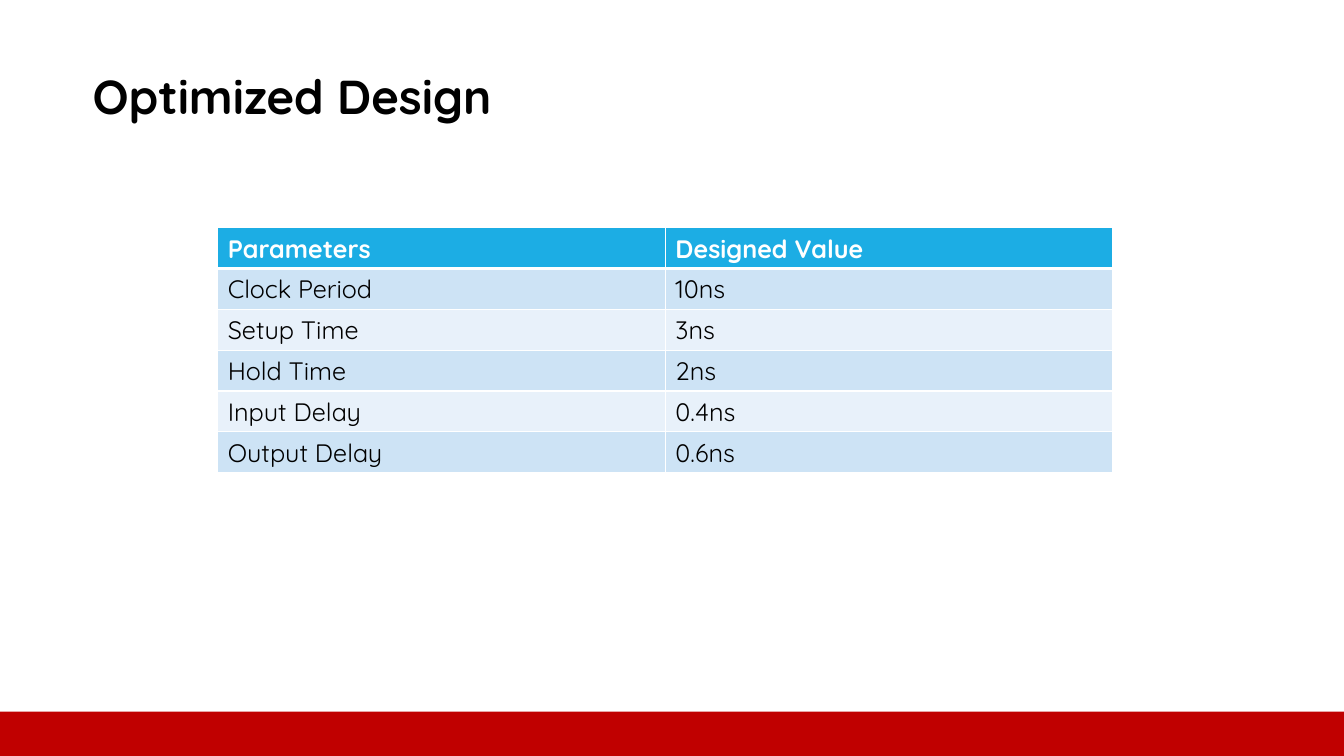
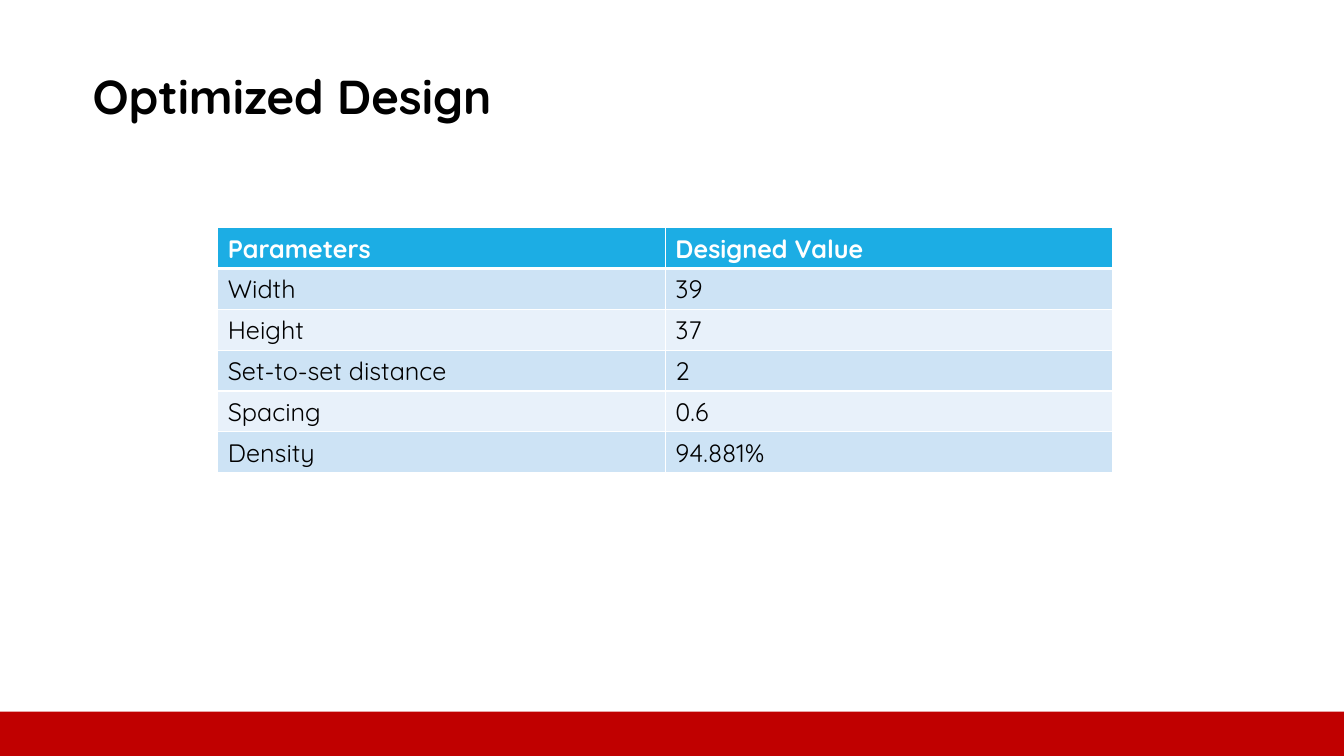
from dataclasses import dataclass

from lxml import etree
from pptx import Presentation
from pptx.dml.color import RGBColor
from pptx.enum.shapes import MSO_SHAPE
from pptx.enum.text import MSO_ANCHOR, MSO_AUTO_SIZE
from pptx.oxml.ns import qn
from pptx.util import Inches, Pt

RECT = MSO_SHAPE.RECTANGLE
TOP = MSO_ANCHOR.TOP
GROW = MSO_AUTO_SIZE.SHAPE_TO_FIT_TEXT
WIDE, HIGH = 13.33, 7.5


# Shared look
@dataclass(frozen=True)
class Theme:
    font: str = "Quicksand"
    ink: str = "000000"
    white: str = "FFFFFF"
    band: str = "C00000"
    head: str = "1CADE4"
    rows: tuple[str, str] = ("CDE3F5", "E8F1FA")
    title: int = 34
    body: int = 18
    thin: int = 1
    thick: int = 3


@dataclass(frozen=True)
class Box:
    left: float
    top: float
    width: float
    height: float

    def emu(self) -> list[int]:
        return [Inches(n) for n in (self.left, self.top, self.width, self.height)]


@dataclass(frozen=True)
class Page:
    title: str
    rows: list[tuple[str, str]]


LOOK = Theme()
TITLE = Box(0.82, 0.33, 11.58, 0.85)
GRID = Box(2.16, 2.26, 8.88, 2.43)
BAND = Box(0, 7.06, WIDE, HIGH - 7.06)
HEAD = ("Parameters", "Designed Value")

# Content
PAGES = [
    Page("Optimized Design", [
        ("Clock Period", "10ns"),
        ("Setup Time", "3ns"),
        ("Hold Time", "2ns"),
        ("Input Delay", "0.4ns"),
        ("Output Delay", "0.6ns"),
    ]),
    Page("Optimized Design", [
        ("Width", "39"),
        ("Height", "37"),
        ("Set-to-set distance", "2"),
        ("Spacing", "0.6"),
        ("Density", "94.881%"),
    ]),
]


def write(frame, text: str, *, size: int, color: str = LOOK.ink,
          bold: bool = False, space: float = 1.0) -> None:
    """Put one formatted paragraph into a text frame."""
    line = frame.paragraphs[0]
    line.line_spacing = space
    run = line.add_run()
    run.text = text
    font = run.font
    font.name, font.size, font.bold = LOOK.font, Pt(size), bold
    font.color.rgb = RGBColor.from_string(color)


def paint(fill, color: str) -> None:
    fill.solid()
    fill.fore_color.rgb = RGBColor.from_string(color)


def edge(cell, top: int, foot: int) -> None:
    """Rule a cell in white; the borders must come before the fill."""
    sides = {"L": LOOK.thin, "R": LOOK.thin, "T": top, "B": foot}
    props = cell._tc.get_or_add_tcPr()
    for spot, (side, width) in enumerate(sides.items()):
        line = etree.Element(qn(f"a:ln{side}"), w=str(Pt(width)))
        solid = etree.SubElement(line, qn("a:solidFill"))
        etree.SubElement(solid, qn("a:srgbClr"), val=LOOK.white)
        props.insert(spot, line)


def add_band(slide) -> None:
    band = slide.shapes.add_shape(RECT, *BAND.emu())
    band.shadow.inherit = False
    paint(band.fill, LOOK.band)
    band.line.fill.background()


def add_title(slide, text: str) -> None:
    frame = slide.shapes.add_textbox(*TITLE.emu()).text_frame
    frame.word_wrap = True
    frame.auto_size = GROW
    frame.vertical_anchor = TOP
    write(frame, text, size=LOOK.title, bold=True, space=1.5)


def add_grid(slide, rows: list[tuple[str, str]]) -> None:
    lines = [HEAD, *rows]
    table = slide.shapes.add_table(len(lines), len(HEAD), *GRID.emu()).table
    for r, line in enumerate(lines):
        first = r == 0
        fill = LOOK.head if first else LOOK.rows[(r - 1) % 2]
        for c, text in enumerate(line):
            cell = table.cell(r, c)
            paint(cell.fill, fill)
            edge(cell, top=LOOK.thick if r == 1 else LOOK.thin,
                 foot=LOOK.thick if first else LOOK.thin)
            write(cell.text_frame, text, size=LOOK.body, bold=first,
                  color=LOOK.white if first else LOOK.ink)


def main() -> None:
    deck = Presentation()
    deck.slide_width, deck.slide_height = Inches(WIDE), Inches(HIGH)
    blank = deck.slide_layouts[6]
    for page in PAGES:
        slide = deck.slides.add_slide(blank)
        paint(slide.background.fill, LOOK.white)
        add_band(slide)
        add_title(slide, page.title)
        add_grid(slide, page.rows)
    deck.save("out.pptx")


if __name__ == "__main__":
    main()
